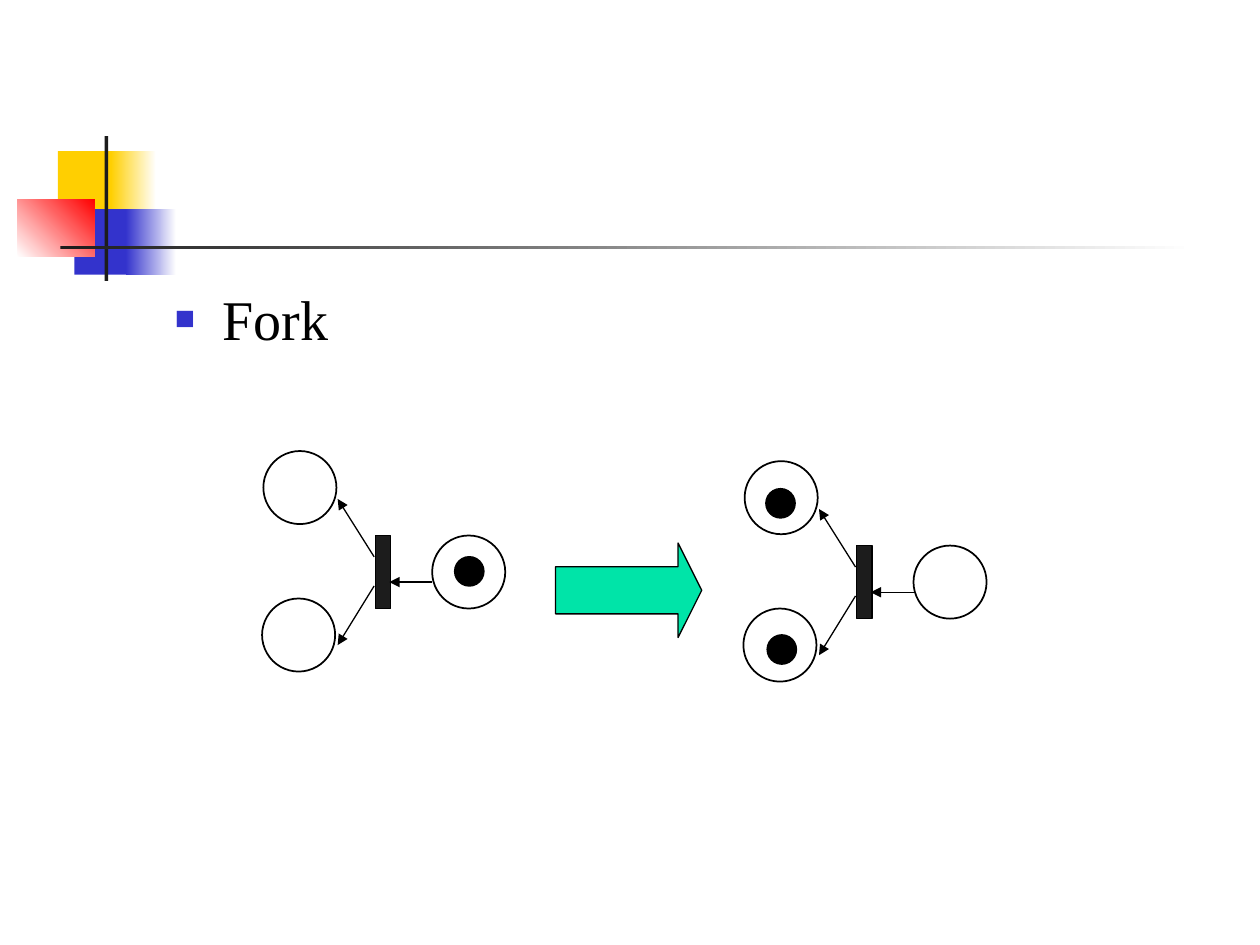
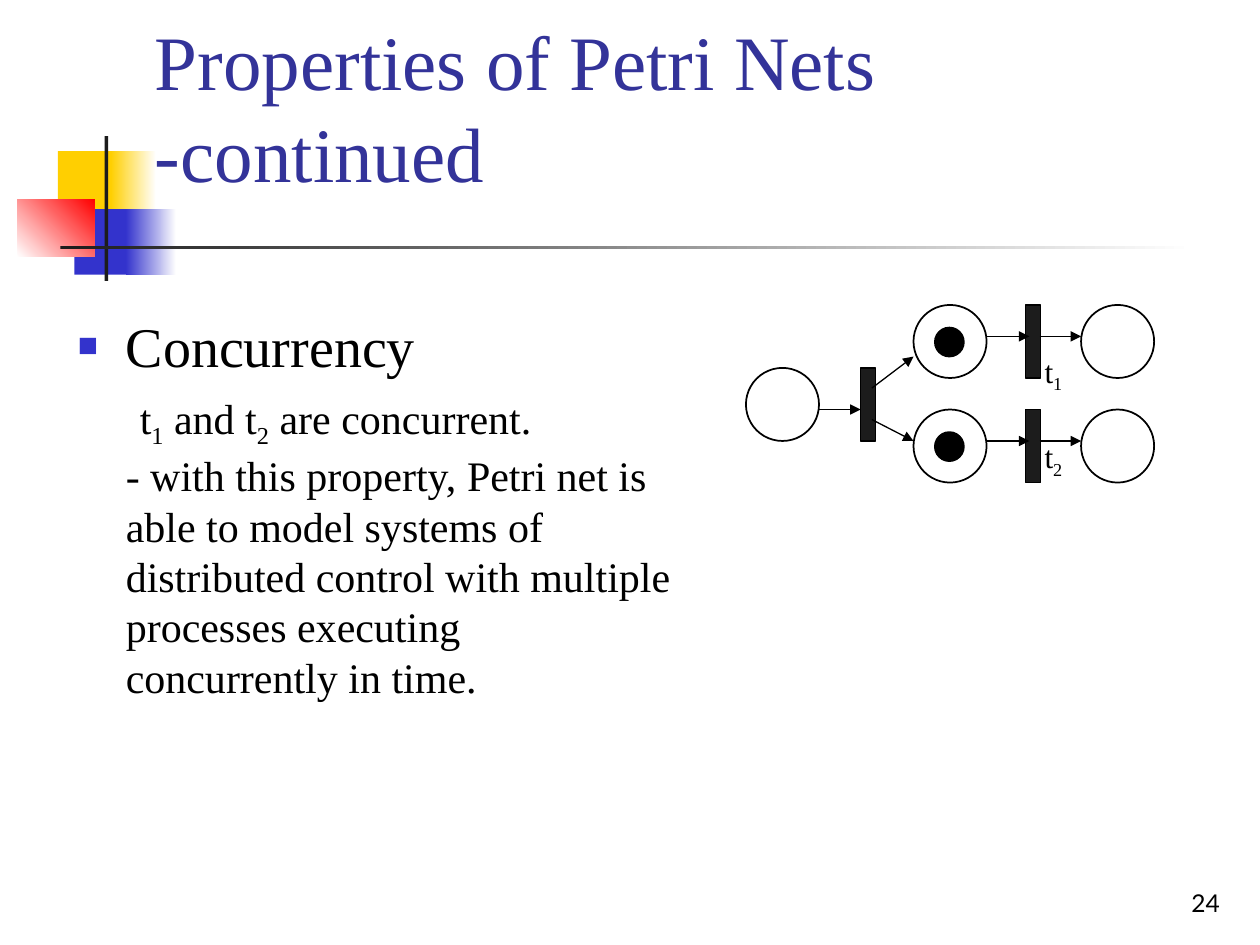
from pptx import Presentation
from pptx.dml.color import RGBColor
from pptx.enum.shapes import MSO_CONNECTOR as LINE, MSO_SHAPE as SHAPE
from pptx.enum.text import MSO_ANCHOR as ANCHOR, MSO_AUTO_SIZE as AUTO, PP_ALIGN as ALIGN
from pptx.oxml.ns import qn
from pptx.util import Inches, Pt
from lxml.etree import SubElement

SERIF = "Times New Roman"
BLACK, INK, WHITE = "000000", "1C1C1C", "FFFFFF"
YELLOW, BLUE, RED, GREEN, TITLE_BLUE = "FFCF01", "3333CC", "FF0000", "00E4A8", "333399"

PLACE, TOKEN, BAR_WIDTH = 0.58, 0.23, 0.12

ORNAMENT = [
    ((0.46, 1.2, 0.48, 0.52), (YELLOW,), 0),
    ((0.88, 1.2, 0.36, 0.52), (YELLOW, WHITE), 0),
    ((0.59, 1.66, 0.46, 0.52), (BLUE,), 0),
    ((1, 1.66, 0.4, 0.52), (BLUE, WHITE), 0),
    ((0.14, 1.58, 0.61, 0.46), (WHITE, RED), 45),
    ((0.83, 1.08, 0.03, 1.15), (INK,), 0),
    ((0.48, 1.95, 9, 0.03), (INK, WHITE), 0),
]

FORK_TEXT = [[("Fork", 32, False)]]
FORK_NET = {
    "places": [(3.43, 4.25), (2.09, 3.58), (2.08, 4.75)],
    "bars": [(2.98, 4.25)],
    "arcs": [(2.97, 4.42, 2.68, 3.96), (2.97, 4.65, 2.68, 5.12), (3.43, 4.62, 3.09, 4.62)],
}
FORK_STATES = [
    ((0, 0), [(3.61, 4.42)]),
    ((3.82, 0.08), [(2.26, 3.8), (2.27, 4.96)]),
]
FIRING_ARROW = (4.41, 4.31, 1.16, 0.75)

TITLE = "Properties of Petri Nets\v-continued"
CONCURRENCY_TEXT = [
    [("Concurrency", 32, False)],
    [(" ", 32, False), ("t", 24, False), ("1", 24, True), (" and t", 24, False),
     ("2", 24, True), (" are concurrent.", 24, False)],
    [("- with this property, Petri net is able to model systems of distributed control "
      "with multiple processes executing concurrently in time.", 24, False)],
]
SPLIT_NET = {
    "places": [(5.92, 2.92)],
    "bars": [(6.83, 2.92)],
    "arcs": [(6.5, 3.25, 6.83, 3.25), (6.92, 3.08, 7.25, 2.83), (6.92, 3.33, 7.25, 3.5)],
}
BRANCH_NET = {
    "places": [(7.25, 2.42), (8.58, 2.42)],
    "bars": [(8.14, 2.42)],
    "arcs": [(7.83, 2.67, 8.17, 2.67), (8.25, 2.67, 8.58, 2.67)],
}
BRANCH_TOKEN = (7.42, 2.6)
BRANCH_STEP = 0.83
BRANCH_LABELS = [("1", 2.79), ("2", 3.47)]
PAGE_NUMBER = "24"


def color(hex_value):
    return RGBColor.from_string(hex_value)


def inches(values):
    return [Inches(value) for value in values]


def add_figure(slide, kind, box, fills=(), line_width=None, angle=0):
    figure = slide.shapes.add_shape(kind, *inches(box))
    figure.shadow.inherit = False
    if len(fills) == 2:
        figure.fill.gradient()
        figure.fill.gradient_angle = angle
        for stop, fill in zip(figure.fill.gradient_stops, fills):
            stop.color.rgb = color(fill)
    elif fills:
        figure.fill.solid()
        figure.fill.fore_color.rgb = color(fills[0])
    else:
        figure.fill.background()
    if line_width:
        figure.line.color.rgb = color(BLACK)
        figure.line.width = Pt(line_width)
    else:
        figure.line.fill.background()
    return figure


def add_arc(slide, ends):
    arc = slide.shapes.add_connector(LINE.STRAIGHT, *inches(ends))
    arc.line.color.rgb = color(BLACK)
    arc.line.width = Pt(0.75)
    properties = arc._element.spPr
    SubElement(properties.find(qn("a:ln")), qn("a:tailEnd"), type="triangle")
    SubElement(properties, qn("a:effectLst"))


def add_net(slide, net, offset=(0, 0), tokens=()):
    dx, dy = offset
    for x, y in net["places"]:
        add_figure(slide, SHAPE.OVAL, (x + dx, y + dy, PLACE, PLACE), line_width=1)
    for x, y in net["bars"]:
        add_figure(slide, SHAPE.RECTANGLE, (x + dx, y + dy, BAR_WIDTH, PLACE), (INK,), 0.75)
    for x, y in tokens:
        add_figure(slide, SHAPE.OVAL, (x + dx, y + dy, TOKEN, TOKEN), (BLACK,), 1)
    for x1, y1, x2, y2 in net["arcs"]:
        add_arc(slide, (x1 + dx, y1 + dy, x2 + dx, y2 + dy))


def add_text(slide, box, lines, font=SERIF):
    frame = slide.shapes.add_textbox(*inches(box)).text_frame
    frame.word_wrap = True
    paragraph = frame.paragraphs[0]
    paragraph.font.name = font
    paragraph.font.color.rgb = color(BLACK)
    for index, line in enumerate(lines):
        if index:
            paragraph.add_line_break()
        for text, size, subscript in line:
            run = paragraph.add_run()
            run.text = text
            run.font.size = Pt(size)
            if subscript:
                run._r.get_or_add_rPr().set("baseline", "-25000")
    return frame


def add_body(slide, box, lines):
    paragraph = add_text(slide, box, lines).paragraphs[0]
    paragraph.space_before = Pt(3)
    properties = paragraph._p.get_or_add_pPr()
    properties.set("marL", str(Inches(0.38)))
    properties.set("indent", str(-Inches(0.38)))
    defaults = properties.find(qn("a:defRPr"))
    properties.remove(defaults)
    SubElement(SubElement(properties, qn("a:buClr")), qn("a:srgbClr"), val=BLUE)
    SubElement(properties, qn("a:buSzPct"), val="60000")
    SubElement(properties, qn("a:buFont"), typeface="Arial")
    SubElement(properties, qn("a:buChar"), char="■")
    properties.append(defaults)


def add_title(slide, text):
    title = slide.shapes.title
    title.left, title.top, title.width, title.height = inches((1.13, 0.99, 7.45, 0.63))
    frame = title.text_frame
    frame.text = text
    frame.auto_size = AUTO.NONE
    frame.vertical_anchor = ANCHOR.BOTTOM
    paragraph = frame.paragraphs[0]
    paragraph.alignment = ALIGN.LEFT
    paragraph.font.name = SERIF
    paragraph.font.size = Pt(44)
    paragraph.font.color.rgb = color(TITLE_BLUE)


def add_slide(deck, layout):
    slide = deck.slides.add_slide(deck.slide_layouts.get_by_name(layout))
    for box, fills, angle in ORNAMENT:
        add_figure(slide, SHAPE.RECTANGLE, box, fills, angle=angle)
    return slide


def build_fork(deck):
    slide = add_slide(deck, "Blank")
    add_body(slide, (1.29, 2.21, 8.5, 4.5), FORK_TEXT)
    for offset, tokens in FORK_STATES:
        add_net(slide, FORK_NET, offset, tokens)
    firing = add_figure(slide, SHAPE.RIGHT_ARROW, FIRING_ARROW, (GREEN,), 0.75)
    firing.adjustments[0], firing.adjustments[1] = 0.5, 0.25


def build_concurrency(deck):
    slide = add_slide(deck, "Title Only")
    add_title(slide, TITLE)
    add_body(slide, (0.52, 2.42, 4.9, 4.8), CONCURRENCY_TEXT)
    number = add_text(slide, (7.7, 6.83, 2.08, 0.5), [[(PAGE_NUMBER, 14, False)]], "Lato")
    number.vertical_anchor = ANCHOR.BOTTOM
    number.paragraphs[0].alignment = ALIGN.RIGHT
    add_net(slide, SPLIT_NET)
    for row, (subscript, top) in enumerate(BRANCH_LABELS):
        add_net(slide, BRANCH_NET, (0, row * BRANCH_STEP), [BRANCH_TOKEN])
        label = add_text(slide, (8.29, top, 0.3, 0.3), [[("t", 18, False), (subscript, 18, True)]])
        label.margin_left = label.margin_right = label.margin_top = label.margin_bottom = 0


def main():
    deck = Presentation()
    deck.slide_width, deck.slide_height = inches((10, 7.5))
    build_fork(deck)
    build_concurrency(deck)
    deck.save("out.pptx")


if __name__ == "__main__":
    main()
